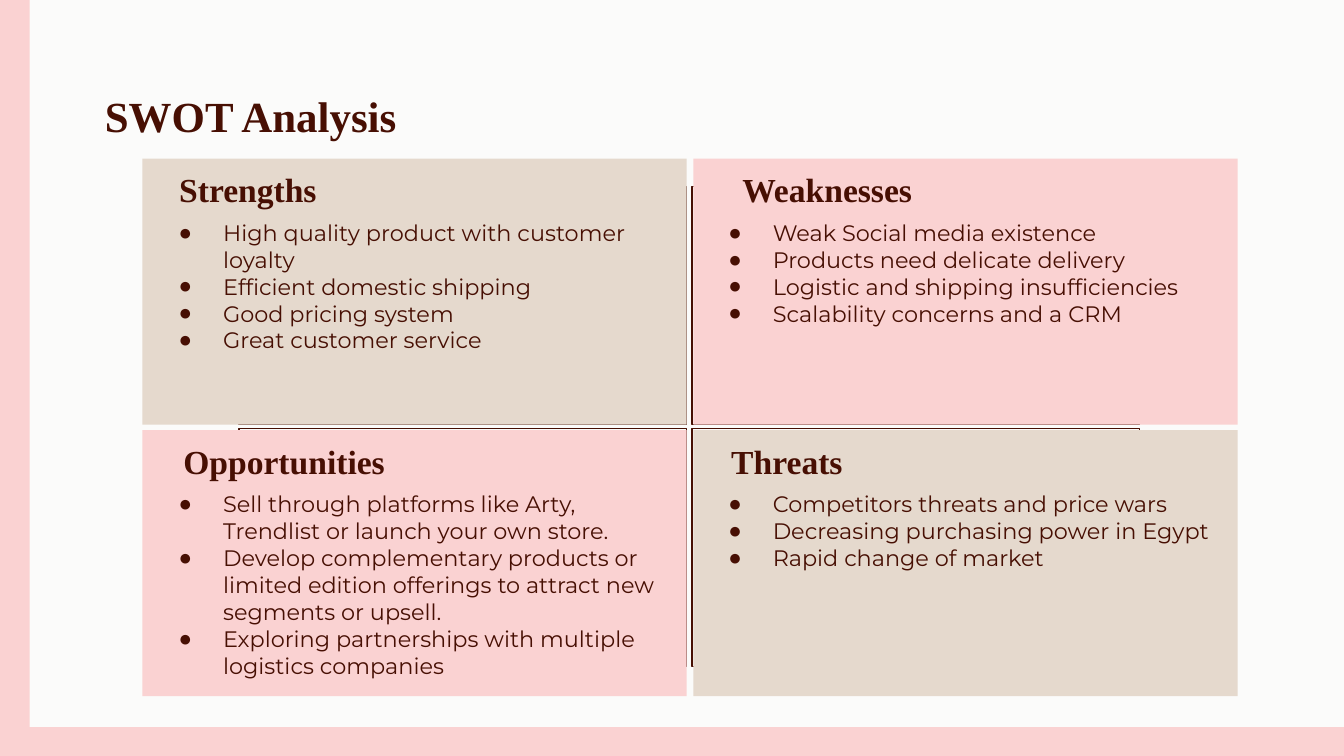
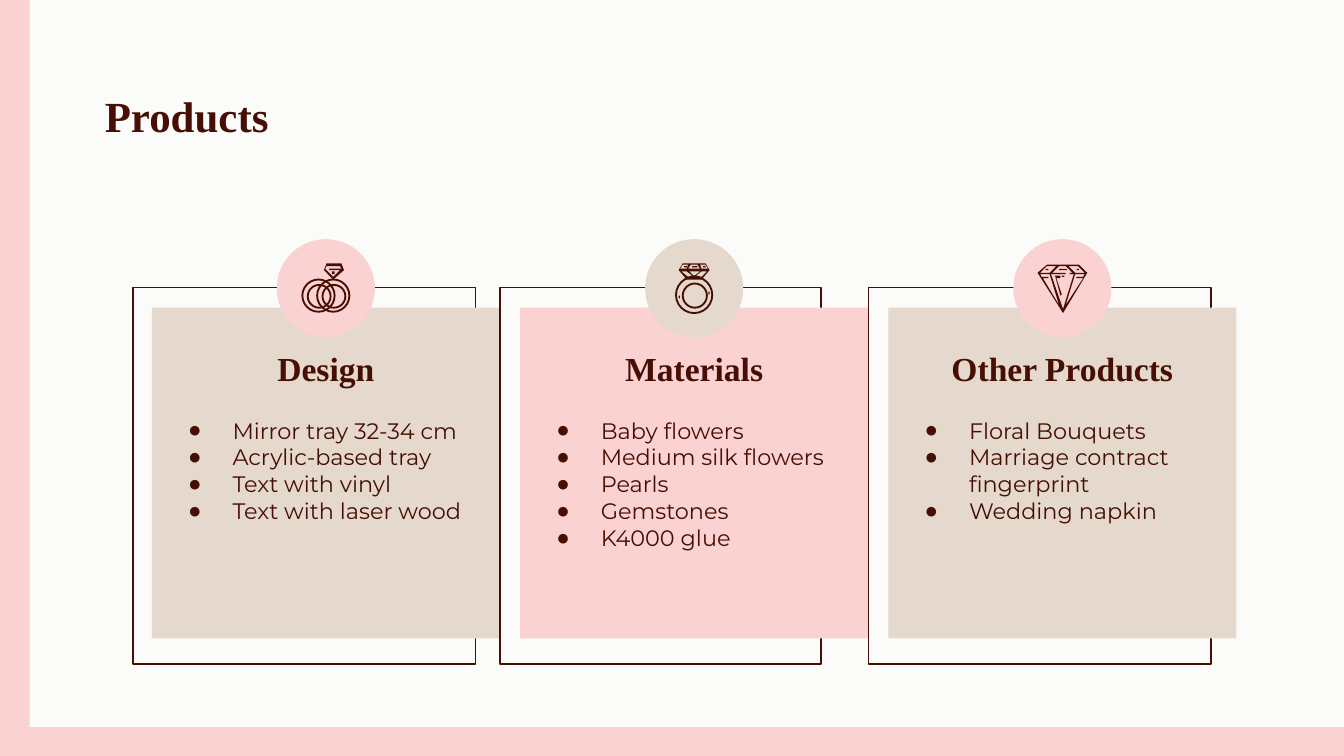
from copy import deepcopy
from dataclasses import dataclass

from lxml import etree
from pptx import Presentation
from pptx import util as u
from pptx.dml.color import RGBColor
from pptx.enum import shapes, text
from pptx.oxml.ns import qn


@dataclass(frozen=True)
class Theme:
    paper: str = "FBFBFA"
    pink: str = "FAD2D2"
    sand: str = "E5D9CD"
    ink: str = "470F03"
    serif: str = "Times New Roman"
    sans: str = "Montserrat"
    title: int = 23
    heading: int = 18
    body: int = 12
    frame: float = 0.75
    stroke: float = 1


T = Theme()
PX = 9144
RECT = shapes.MSO_SHAPE.RECTANGLE
OVAL = shapes.MSO_SHAPE.OVAL
TOP, BOTTOM = text.MSO_ANCHOR.TOP, text.MSO_ANCHOR.BOTTOM
LEFT, CENTER = text.PP_ALIGN.LEFT, text.PP_ALIGN.CENTER


def draw(s, kind, at, fill=None, line=None):
    if kind is None:
        builder = s.shapes.build_freeform(*at[0][0], scale=PX)
        for i, contour in enumerate(at):
            if i:
                builder.move_to(*contour[0])
            builder.add_line_segments(contour[1:], close=True)
        sp = builder.convert_to_shape()
    else:
        sp = s.shapes.add_shape(kind, *[v * PX for v in at])
    sp.shadow.inherit = False
    if fill:
        sp.fill.solid()
        sp.fill.fore_color.rgb = RGBColor.from_string(fill)
    else:
        sp.fill.background()
    if line:
        sp.line.color.rgb = RGBColor.from_string(T.ink)
        sp.line.width = u.Pt(line)
    else:
        sp.line.fill.background()
    return sp


def write(s, sp, at, lines, size, font, align=LEFT, anchor=TOP, bullets=False):
    sp.left, sp.top, sp.width, sp.height = [v * PX for v in at]
    s.shapes.element.append(sp.element)
    tf = sp.text_frame
    tf.word_wrap = True
    tf.auto_size = text.MSO_AUTO_SIZE.NONE
    tf.vertical_anchor = anchor
    tf.margin_left = tf.margin_right = tf.margin_top = tf.margin_bottom = 10 * PX
    for i, words in enumerate(lines):
        p = tf.add_paragraph() if i else tf.paragraphs[0]
        if bullets:
            pPr = p._p.get_or_add_pPr()
            pPr.set("marL", str(50 * PX))
            pPr.set("indent", str(-33 * PX))
            color = etree.SubElement(pPr, qn("a:buClr"))
            etree.SubElement(color, qn("a:srgbClr")).set("val", T.ink)
            etree.SubElement(pPr, qn("a:buChar")).set("char", "●")
        p.alignment = align
        p.space_before = p.space_after = u.Pt(0)
        p.line_spacing = 1.0
        r = p.add_run()
        r.text = words
        r.font.name = font
        r.font.size = u.Pt(size)
        r.font.bold = not bullets
        r.font.color.rgb = RGBColor.from_string(T.ink)


prs = Presentation()
prs.slide_width = 1000 * PX
prs.slide_height = prs.slide_width * 9 // 16
master = prs.slide_master
master.background.fill.solid()
master.background.fill.fore_color.rgb = RGBColor.from_string(T.paper)

layout = prs.slide_layouts[4]
pairs = [(1, 2), (3, 4), (21, 22), (23, 24)]
for pair in pairs[2:]:
    for source, idx in zip(pairs[0], pair):
        el = deepcopy(layout.placeholders.get(source).element)
        el.nvSpPr.cNvPr.id = idx
        el.ph.idx = idx
        layout.shapes.element.append(el)

swot, products = [prs.slides.add_slide(layout) for _ in range(2)]
for at in ((0, 541, 1000, 22), (0, 0, 22, 562)):
    band = draw(swot, RECT, at, T.pink)
    master.shapes.element.insert(2, band.element)

for s, name in ((swot, "SWOT Analysis"), (products, "Products")):
    write(s, s.shapes.title, (68, 57, 888, 63), [name], T.title, T.serif)

quadrants = [
    ("Strengths", 157, T.sand, [
        "High quality product with customer loyalty",
        "Efficient domestic shipping",
        "Good pricing system",
        "Great customer service"]),
    ("Weaknesses", 201, T.pink, [
        "Weak Social media existence",
        "Products need delicate delivery",
        "Logistic and shipping insufficiencies",
        "Scalability concerns and a CRM"]),
    ("Opportunities", 211, T.pink, [
        "Sell through platforms like Arty, Trendlist or launch your own store.",
        "Develop complementary products or limited edition offerings to attract new segments or upsell.",
        "Exploring partnerships with multiple logistics companies"]),
    ("Threats", 141, T.sand, [
        "Competitors threats and price wars",
        "Decreasing purchasing power in Egypt",
        "Rapid change of market"]),
]
for i in range(4):
    row, col = divmod(i, 2)
    draw(swot, RECT, (178 + 337 * col, 139 + 180 * row, 333, 177), line=T.frame)
for i, (heading, width, fill, items) in enumerate(quadrants):
    row, col = divmod(i, 2)
    x, y = 106 + 410 * col, 118 + 202 * row
    draw(swot, RECT, (x, y, 405, 198), fill)
    head, body = [swot.placeholders[idx] for idx in pairs[i]]
    write(swot, head, (x - col, y, width, 48), [heading], T.heading, T.serif, CENTER, BOTTOM)
    write(swot, body, (x - col, y + 35, 405, 163), items, T.body, T.sans, bullets=True)

columns = [
    ("Design", 99, 255, T.sand, T.pink, [
        "Mirror tray 32-34 cm",
        "Acrylic-based tray",
        "Text with vinyl",
        "Text with laser wood"]),
    ("Materials", 372, 239, T.pink, T.sand, [
        "Baby flowers",
        "Medium silk flowers",
        "Pearls",
        "Gemstones",
        "K4000 glue"]),
    ("Other Products", 646, 255, T.sand, T.pink, [
        "Floral Bouquets",
        "Marriage contract fingerprint",
        "Wedding napkin"]),
]
for i, (heading, left, width, fill, badge, items) in enumerate(columns):
    x = 113 + 274 * i
    draw(products, RECT, (left, 214, width, 280), line=T.frame)
    draw(products, RECT, (x, 229, 259, 246), fill)
    draw(products, OVAL, (x + 93, 178, 73, 73), badge)
    head, body = [products.placeholders[idx] for idx in pairs[i]]
    write(products, head, (x, 251, 259, 48), [heading], T.heading, T.serif, CENTER, BOTTOM)
    write(products, body, (x, 300, 259, 162), items, T.body, T.sans, bullets=True)
for idx in pairs[3]:
    unused = products.placeholders[idx].element
    unused.getparent().remove(unused)

rings = [(225, 208, 24), (229, 212, 17), (236, 208, 24), (240, 212, 17),
         (503, 206, 27), (508, 211, 18)]
for x, y, size in rings:
    draw(products, OVAL, (x, y, size, size), line=T.stroke)

gems = [
    [[(243, 196), (254, 196), (256, 201), (248, 208), (241, 201)],
     [(253, 198), (254, 200), (245, 200), (245, 201), (253, 201), (248, 206),
      (242, 200), (243, 198)]],
    [[(508, 196), (525, 196), (528, 201), (522, 208), (511, 208), (505, 201)],
     [(512, 197), (511, 200), (506, 200), (508, 197)],
     [(519, 197), (521, 200), (512, 200), (514, 197)],
     [(525, 197), (527, 200), (522, 200), (521, 197)],
     [(521, 202), (517, 205), (516, 205), (513, 202)],
     [(511, 202), (515, 205), (512, 206), (507, 202)],
     [(526, 202), (522, 206), (518, 205), (522, 202)]],
    [[(779, 197), (772, 203), (791, 233), (809, 203), (803, 197)],
     [(786, 198), (781, 203), (774, 203), (779, 198)],
     [(802, 198), (807, 203), (800, 203), (795, 198)],
     [(807, 204), (806, 206), (801, 206), (801, 207), (806, 207), (793, 227), (800, 204)],
     [(781, 204), (788, 227), (776, 207), (780, 207), (780, 206), (775, 206), (774, 204)],
     [(793, 198), (798, 203), (796, 203), (796, 204), (799, 204), (791, 230),
      (782, 204), (793, 204), (793, 203), (783, 203), (788, 198)]],
    [[(785, 205), (789, 220), (790, 219), (786, 207), (789, 207), (789, 205)]],
]
for contours in gems:
    draw(products, None, contours, T.ink)

glints = [
    (247, 202, 2, 2),
    (790, 205, 2, 1), (788, 200, 6, 1), (778, 200, 2, 1), (801, 200, 2, 1),
    (515, 198, 4, 1), (523, 198, 2, 1), (509, 198, 2, 1),
    (505, 220, 1, 2), (527, 217, 1, 2),
]
for at in glints:
    draw(products, RECT, at, T.ink)

prs.save("out.pptx")
